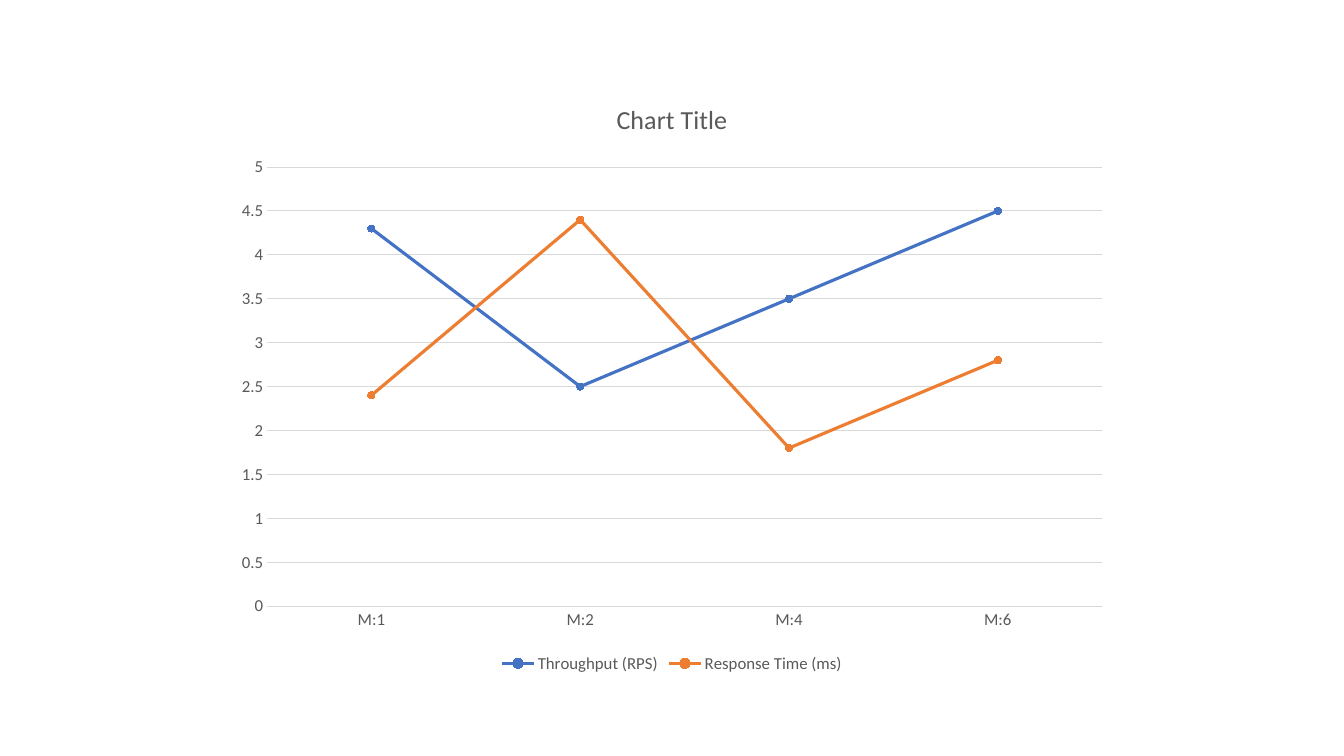
"""Build a slide with a line chart of throughput and response time."""
from dataclasses import dataclass

from pptx import Presentation
from pptx.chart.axis import _BaseAxis as Axis
from pptx.chart.chart import Chart
from pptx.chart.data import CategoryChartData
from pptx.chart.series import LineSeries
from pptx.dml.color import RGBColor
from pptx.dml.line import LineFormat
from pptx.enum.chart import XL_CHART_TYPE as ChartType
from pptx.enum.chart import XL_LEGEND_POSITION as LegendPosition
from pptx.enum.chart import XL_MARKER_STYLE as MarkerStyle
from pptx.enum.chart import XL_TICK_MARK as TickMark
from pptx.text.text import Font
from pptx.util import Inches, Pt

BLUE = RGBColor(0x44, 0x72, 0xC4)
ORANGE = RGBColor(0xED, 0x7D, 0x31)
GRAY = RGBColor(0x59, 0x59, 0x59)
LIGHT_GRAY = RGBColor(0xD9, 0xD9, 0xD9)


@dataclass(frozen=True)
class Measure:
    name: str
    values: tuple[float, ...]
    color: RGBColor


MACHINES = ("M:1", "M:2", "M:4", "M:6")
MEASURES = (
    Measure("Throughput (RPS)", (4.3, 2.5, 3.5, 4.5), BLUE),
    Measure("Response Time (ms)", (2.4, 4.4, 1.8, 2.8), ORANGE),
)


def style_font(font: Font, size: float) -> None:
    font.name = "Calibri"
    font.size = Pt(size)
    font.bold = False
    font.color.rgb = GRAY


def style_line(line: LineFormat, color: RGBColor, width: float) -> None:
    line.color.rgb = color
    line.width = Pt(width)


def style_axis(axis: Axis) -> None:
    axis.major_tick_mark = TickMark.NONE
    axis.minor_tick_mark = TickMark.NONE
    style_font(axis.tick_labels.font, 12)


def style_series(series: LineSeries, color: RGBColor) -> None:
    series.smooth = False
    style_line(series.format.line, color, 2.25)
    marker = series.marker
    marker.style = MarkerStyle.CIRCLE
    marker.size = 5
    marker.format.fill.solid()
    marker.format.fill.fore_color.rgb = color
    style_line(marker.format.line, color, 0.75)


def style_chart(chart: Chart) -> None:
    chart.font.name = "Calibri"
    chart.font.size = Pt(10)
    chart.plots[0].vary_by_categories = False

    chart.has_title = True
    span = chart.chart_title.text_frame.paragraphs[0].add_run()
    span.text = "Chart Title"
    style_font(span.font, 18.6)
    chart.chart_title.include_in_layout = False

    chart.has_legend = True
    chart.legend.position = LegendPosition.BOTTOM
    chart.legend.include_in_layout = False
    style_font(chart.legend.font, 12)

    category_axis, value_axis = chart.category_axis, chart.value_axis
    style_axis(category_axis)
    style_line(category_axis.format.line, LIGHT_GRAY, 0.75)
    style_axis(value_axis)
    value_axis.format.line.fill.background()
    value_axis.minimum_scale = 0
    value_axis.maximum_scale = 5
    value_axis.major_unit = 0.5
    value_axis.has_major_gridlines = True
    style_line(value_axis.major_gridlines.format.line, LIGHT_GRAY, 0.75)

    for series, measure in zip(chart.plots[0].series, MEASURES):
        style_series(series, measure.color)


def main() -> None:
    deck = Presentation()
    deck.slide_width = Inches(13.33)
    deck.slide_height = Inches(7.5)
    page = deck.slides.add_slide(deck.slide_layouts[6])

    data = CategoryChartData(number_format="General")
    data.categories = MACHINES
    for measure in MEASURES:
        data.add_series(measure.name, measure.values)
    frame = page.shapes.add_chart(
        ChartType.LINE_MARKERS,
        Inches(2.22), Inches(0.79), Inches(8.89), Inches(5.93), data,
    )
    style_chart(frame.chart)
    deck.save("out.pptx")


if __name__ == "__main__":
    main()
